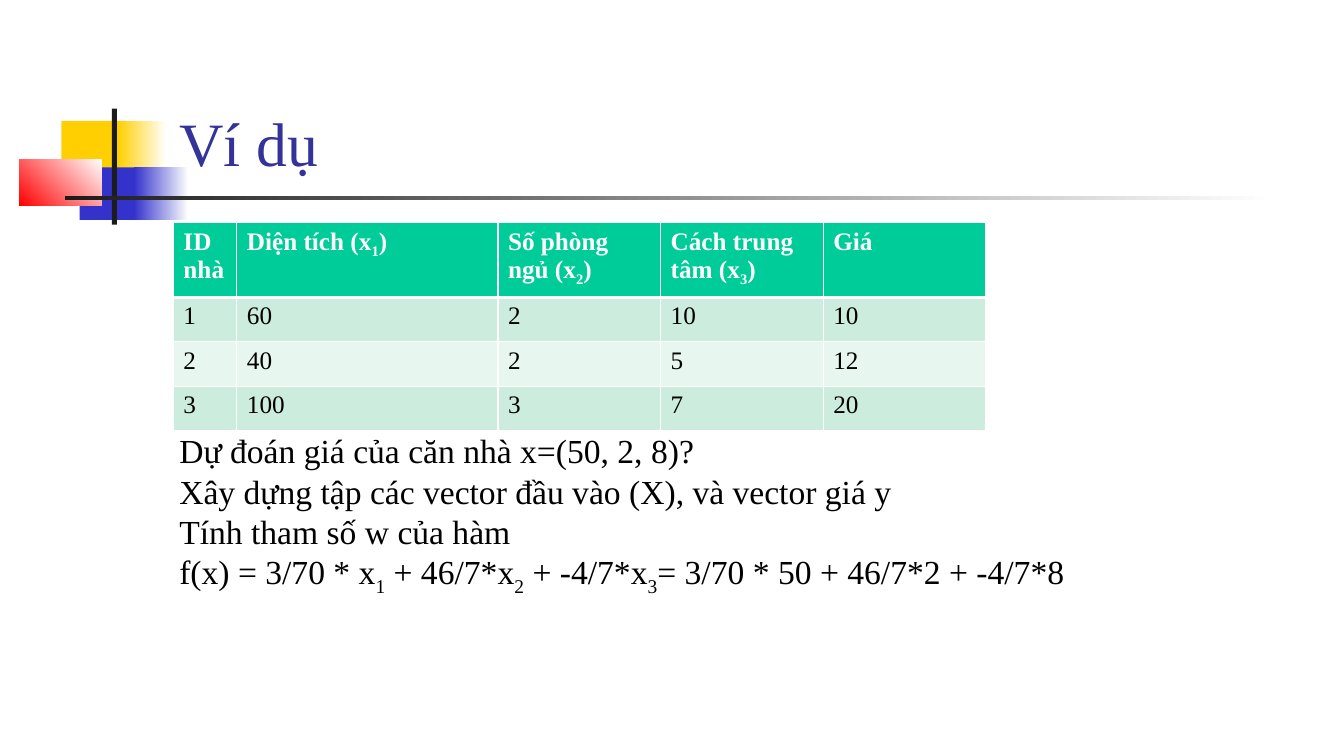
from dataclasses import dataclass
from typing import Any, Optional

from lxml import etree
from pptx import Presentation
from pptx import util as u
from pptx.dml.color import RGBColor
from pptx.enum import shapes, text
from pptx.oxml import ns

FONT = "Times New Roman"
COLORS = {
    "white": "FFFFFF",
    "black": "000000",
    "yellow": "FFCF01",
    "blue": "3333CC",
    "red": "FF0000",
    "charcoal": "1C1C1C",
    "title": "333399",
    "header": "00CC99",
    "band_dark": "CCECDE",
    "band_light": "E7F6EF",
}

# A line of text is a tuple of runs; every second run is a subscript.
Line = tuple[str, ...]


@dataclass
class Block:
    """Decorative rectangle in cm; with an angle, it fades from white to its color."""
    left: float
    top: float
    width: float
    height: float
    color: str
    angle: Optional[int] = None


@dataclass
class TextBlock:
    left: float
    top: float
    width: float
    height: float
    lines: list[Line]
    size: int
    color: str
    anchor: text.MSO_ANCHOR


BLOCKS = [
    Block(1.55, 3.05, 1.63, 1.32, "yellow"),
    Block(2.97, 3.05, 1.22, 1.32, "yellow", 180),
    Block(2.01, 4.22, 1.57, 1.32, "blue"),
    Block(3.38, 4.22, 1.37, 1.32, "blue", 180),
    Block(0.48, 4.01, 2.08, 1.17, "red", 225),
    Block(2.82, 2.74, 0.13, 2.92, "charcoal"),
    Block(1.65, 4.95, 30.48, 0.09, "charcoal", 180),
]

TITLE = TextBlock(4.27, 0.58, 28.85, 4.06, [("Ví dụ",)], 44, "title",
                  text.MSO_ANCHOR.BOTTOM)
BODY = TextBlock(
    4.27, 10.72, 27.46, 5.38,
    [
        ("Dự đoán giá của căn nhà x=(50, 2, 8)?",),
        ("Xây dựng tập các vector đầu vào (X), và vector giá y",),
        ("Tính tham số w của hàm",),
        ("f(x) = 3/70 * x", "1", " + 46/7*x", "2", " + -4/7*x", "3",
         "= 3/70 * 50 + 46/7*2 + -4/7*8"),
    ],
    24, "black", text.MSO_ANCHOR.TOP)

HEADERS: list[Line] = [
    ("ID nhà",),
    ("Diện tích (x", "1", ")"),
    ("Số phòng ngủ (x", "2", ")"),
    ("Cách trung tâm (x", "3", ")"),
    ("Giá",),
]
HOUSES = [(1, 60, 2, 10, 10), (2, 40, 2, 5, 12), (3, 100, 3, 7, 20)]
TABLE_LEFT, TABLE_TOP = 4.37, 5.61
COLUMN_WIDTHS = [1.6, 6.58, 4.1, 4.1, 4.1]
ROW_HEIGHTS = [1.77] + [1.12] * len(HOUSES)


def rgb(name: str) -> RGBColor:
    return RGBColor.from_string(COLORS[name])


def add_runs(paragraph: Any, line: Line, size: int, color: str, bold: bool = False) -> None:
    for index, words in enumerate(line):
        run = paragraph.add_run()
        run.text = words
        run.font.name = FONT
        run.font.size = u.Pt(size)
        run.font.bold = bold
        run.font.color.rgb = rgb(color)
        if index % 2:
            run._r.get_or_add_rPr().set("baseline", "-25000")


def add_block(slide: Any, block: Block) -> None:
    shape = slide.shapes.add_shape(
        shapes.MSO_SHAPE.RECTANGLE, u.Cm(block.left), u.Cm(block.top),
        u.Cm(block.width), u.Cm(block.height))
    shape.shadow.inherit = False
    shape.line.fill.background()
    if block.angle is None:
        shape.fill.solid()
        shape.fill.fore_color.rgb = rgb(block.color)
    else:
        shape.fill.gradient()
        shape.fill.gradient_angle = block.angle
        for stop, color in zip(shape.fill.gradient_stops, ("white", block.color)):
            stop.color.rgb = rgb(color)


def add_text(slide: Any, block: TextBlock) -> None:
    shape = slide.shapes.add_textbox(
        u.Cm(block.left), u.Cm(block.top), u.Cm(block.width), u.Cm(block.height))
    frame = shape.text_frame
    frame.word_wrap = True
    frame.vertical_anchor = block.anchor
    for index, line in enumerate(block.lines):
        paragraph = frame.add_paragraph() if index else frame.paragraphs[0]
        add_runs(paragraph, line, block.size, block.color)


def set_borders(cell: Any, top: int, bottom: int) -> None:
    """Draw white borders, one point wide at the sides; call before filling the cell."""
    properties = cell._tc.get_or_add_tcPr()
    for side, width in (("L", 1), ("R", 1), ("T", top), ("B", bottom)):
        border = etree.SubElement(properties, ns.qn(f"a:ln{side}"), w=str(u.Pt(width)))
        fill = etree.SubElement(border, ns.qn("a:solidFill"))
        etree.SubElement(fill, ns.qn("a:srgbClr"), val=COLORS["white"])


def add_house_table(slide: Any) -> None:
    rows = [HEADERS] + [[(str(value),) for value in house] for house in HOUSES]
    table = slide.shapes.add_table(
        len(rows), len(HEADERS), u.Cm(TABLE_LEFT), u.Cm(TABLE_TOP),
        u.Cm(sum(COLUMN_WIDTHS)), u.Cm(sum(ROW_HEIGHTS))).table
    for column, width in zip(table.columns, COLUMN_WIDTHS):
        column.width = u.Cm(width)
    for row_index, (row, height) in enumerate(zip(rows, ROW_HEIGHTS)):
        table.rows[row_index].height = u.Cm(height)
        is_header = row_index == 0
        band = "band_dark" if row_index % 2 else "band_light"
        for column_index, line in enumerate(row):
            cell = table.cell(row_index, column_index)
            set_borders(cell, top=3 if row_index == 1 else 1, bottom=3 if is_header else 1)
            cell.fill.solid()
            cell.fill.fore_color.rgb = rgb("header" if is_header else band)
            add_runs(cell.text_frame.paragraphs[0], line, 18,
                     "white" if is_header else "black", bold=is_header)


def main() -> None:
    presentation = Presentation()
    presentation.slide_width = u.Cm(33.87)
    presentation.slide_height = u.Cm(19.05)
    slide = presentation.slides.add_slide(presentation.slide_layouts[6])
    for block in BLOCKS:
        add_block(slide, block)
    add_text(slide, TITLE)
    add_house_table(slide)
    add_text(slide, BODY)
    presentation.save("out.pptx")


if __name__ == "__main__":
    main()
